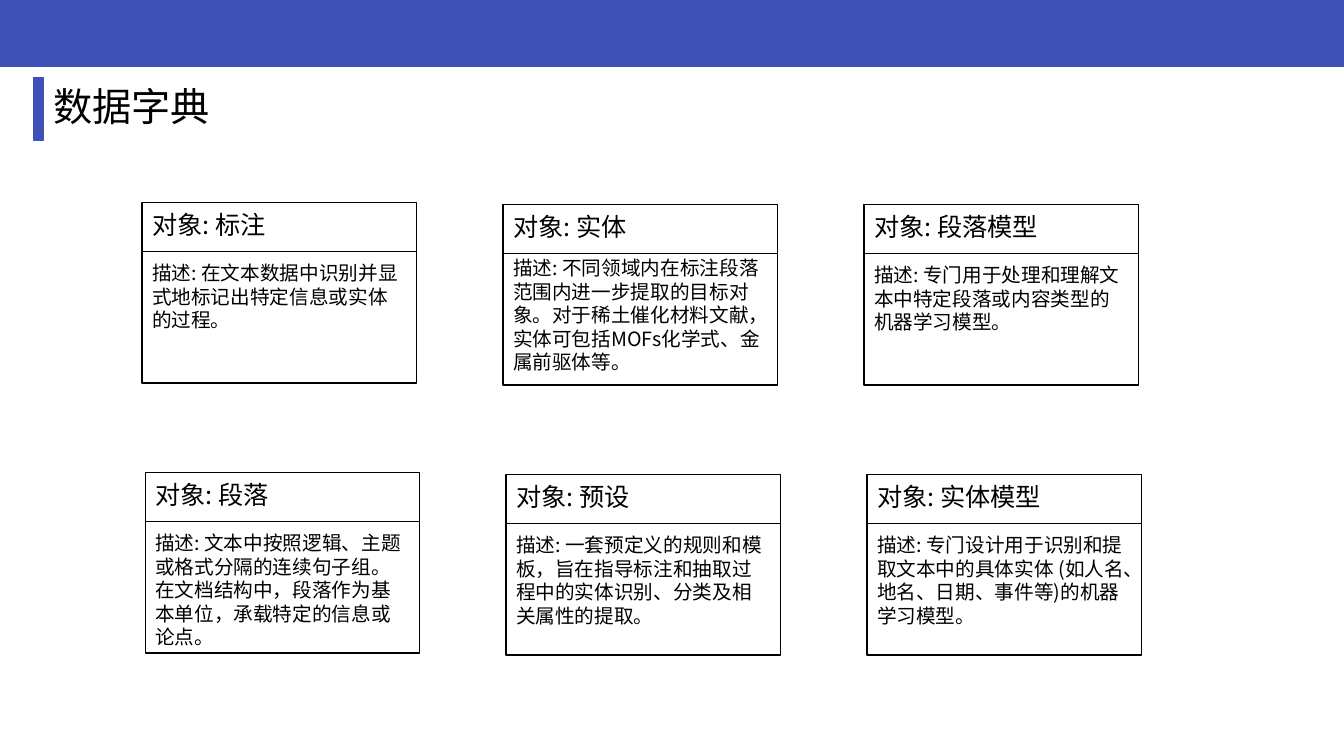
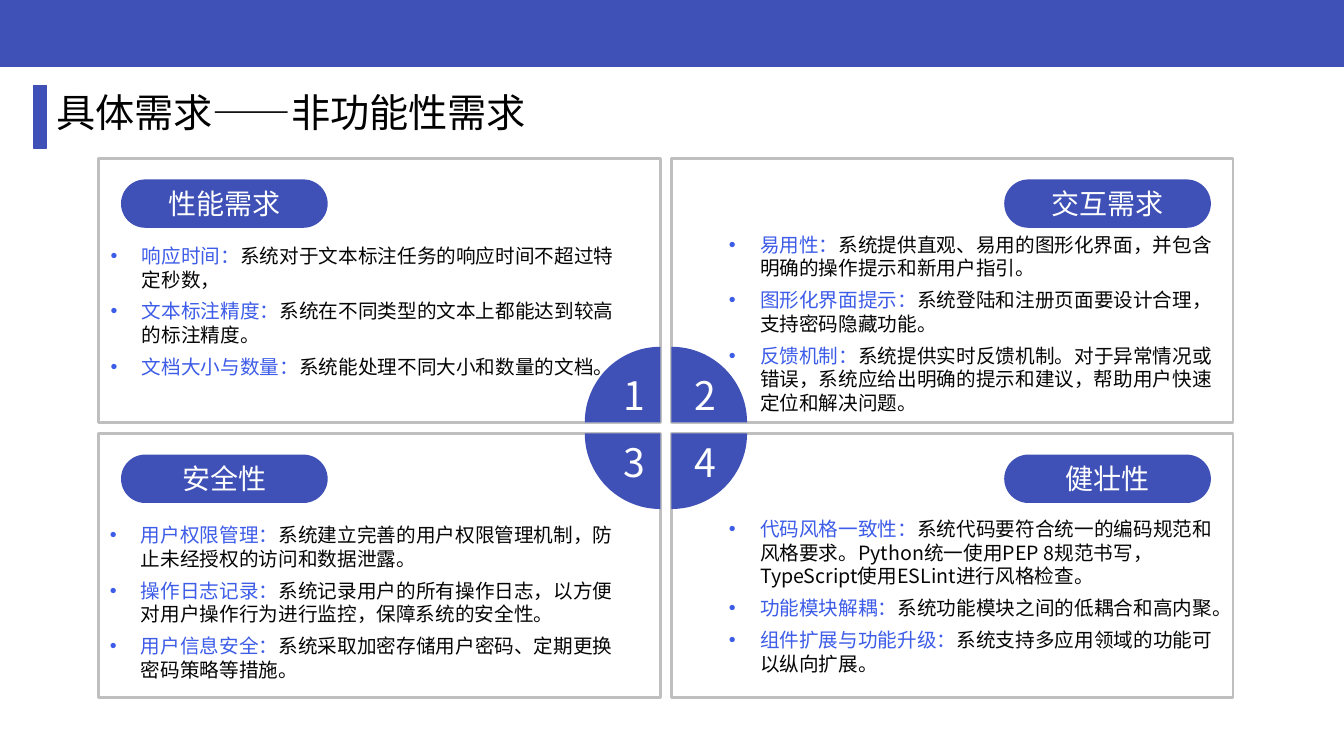
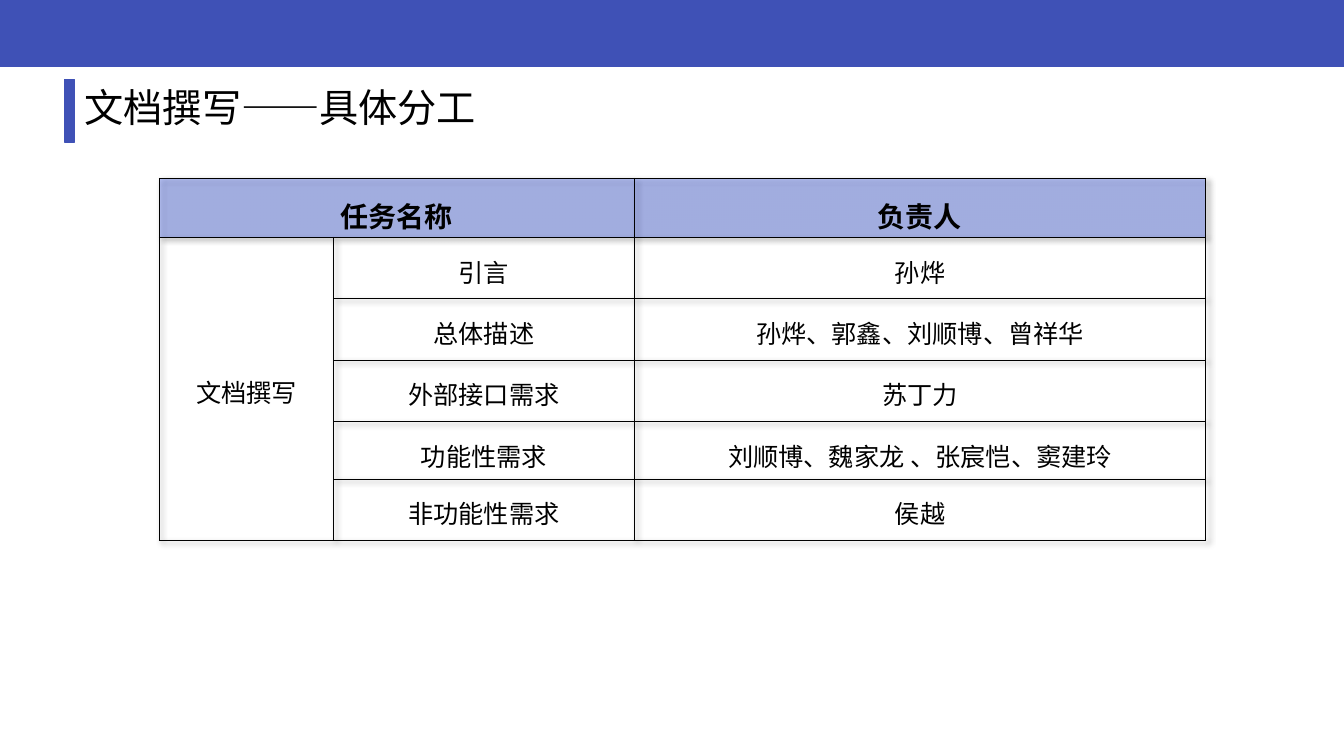
import math
from dataclasses import dataclass

import lxml.etree
import pptx
import pptx.dml.color
import pptx.enum.shapes
import pptx.enum.text
import pptx.oxml
import pptx.oxml.ns
import pptx.util

Inches = pptx.util.Inches
Pt = pptx.util.Pt
SHAPE = pptx.enum.shapes.MSO_SHAPE
ALIGN = pptx.enum.text.PP_ALIGN
ANCHOR = pptx.enum.text.MSO_ANCHOR
qn = pptx.oxml.ns.qn


@dataclass(frozen=True)
class Theme:
    font: str = "Noto Sans CJK JP"
    brand: str = "3F51B6"
    accent: str = "3D5CE8"
    body: str = "060607"
    black: str = "000000"
    white: str = "FFFFFF"
    frame: str = "BFBFBF"
    title_size: int = 28
    heading_size: int = 20
    label_size: int = 18
    body_size: int = 14


THEME = Theme()

DICTIONARY = [
    ("标注", "在文本数据中识别并显式地标记出特定信息或实体的过程。"),
    ("实体", "不同领域内在标注段落范围内进一步提取的目标对象。对于稀土催化材料文献，实体可包括MOFs化学式、金属前驱体等。"),
    ("段落模型", "专门用于处理和理解文本中特定段落或内容类型的机器学习模型。"),
    ("段落", "文本中按照逻辑、主题或格式分隔的连续句子组。在文档结构中，段落作为基本单位，承载特定的信息或论点。"),
    ("预设", "一套预定义的规则和模板，旨在指导标注和抽取过程中的实体识别、分类及相关属性的提取。"),
    ("实体模型", "专门设计用于识别和提取文本中的具体实体 (如人名、地名、日期、事件等)的机器学习模型。"),
]

REQUIREMENTS = [
    ("性能需求", (1, 2.37, 5.2, 1.62), [
        ("响应时间：", "系统对于文本标注任务的响应时间不超过特定秒数，"),
        ("文本标注精度：", "系统在不同类型的文本上都能达到较高的标注精度。"),
        ("文档大小与数量：", "系统能处理不同大小和数量的文档。"),
    ]),
    ("交互需求", (7.13, 2.26, 5.09, 1.92), [
        ("易用性：", "系统提供直观、易用的图形化界面，并包含明确的操作提示和新用户指引。"),
        ("图形化界面提示：", "系统登陆和注册页面要设计合理，支持密码隐藏功能。"),
        ("反馈机制：", "系统提供实时反馈机制。对于异常情况或错误，系统应给出明确的提示和建议，帮助用户快速定位和解决问题。"),
    ]),
    ("安全性", (0.99, 5.14, 5.22, 1.68), [
        ("用户权限管理：", "系统建立完善的用户权限管理机制，防止未经授权的访问和数据泄露。"),
        ("操作日志记录：", "系统记录用户的所有操作日志，以方便对用户操作行为进行监控，保障系统的安全性。"),
        ("用户信息安全：", "系统采取加密存储用户密码、定期更换密码策略等措施。"),
    ]),
    ("健壮性", (7.13, 5.08, 5.06, 1.68), [
        ("代码风格一致性：", "系统代码要符合统一的编码规范和风格要求。Python统一使用PEP 8规范书写，TypeScript使用ESLint进行风格检查。"),
        ("功能模块解耦：", "系统功能模块之间的低耦合和高内聚。"),
        ("组件扩展与功能升级：", "系统支持多应用领域的功能可以纵向扩展。"),
    ]),
]

TASK_HEADER = ("任务名称", "", "负责人")
TASK_GROUP = "文档撰写"
TASKS = [
    ("引言", "孙烨"),
    ("总体描述", "孙烨、郭鑫、刘顺博、曾祥华"),
    ("外部接口需求", "苏丁力"),
    ("功能性需求", "刘顺博、魏家龙 、张宸恺、窦建玲"),
    ("非功能性需求", "侯越"),
]
TASK_COLUMNS = (1.73, 2.98, 5.67)
TASK_ROWS = (0.5, 0.61, 0.61, 0.61, 0.57, 0.61)


def rgb(color):
    return pptx.dml.color.RGBColor.from_string(color)


def style_font(font, size, color=None, bold=False):
    font.size = Pt(size)
    font.bold = bold
    font.name = THEME.font
    if color:
        font.color.rgb = rgb(color)
    latin = font._element.find(qn("a:latin"))
    east_asian = pptx.oxml.parse_xml(
        f'<a:ea {pptx.oxml.ns.nsdecls("a")} typeface="{THEME.font}"/>')
    latin.addnext(east_asian)


def paint(shape, fill=None, line=None, width=1):
    shape.shadow.inherit = False
    if fill:
        shape.fill.solid()
        shape.fill.fore_color.rgb = rgb(fill)
    else:
        shape.fill.background()
    if line:
        shape.line.color.rgb = rgb(line)
        shape.line.width = Pt(width)
    else:
        shape.line.fill.background()


def add_box(slide, box, kind=SHAPE.RECTANGLE, **look):
    shape = slide.shapes.add_shape(kind, *map(Inches, box))
    paint(shape, **look)
    return shape


def set_text(frame, text, size, color, align=ALIGN.LEFT, bold=False):
    paragraph = frame.paragraphs[0]
    paragraph.text = text
    paragraph.alignment = align
    style_font(paragraph.font, size, color, bold)
    return paragraph


def add_text(slide, box, text, size, color=THEME.black, align=ALIGN.LEFT):
    frame = slide.shapes.add_textbox(*map(Inches, box)).text_frame
    frame.word_wrap = True
    set_text(frame, text, size, color, align)
    return frame


def add_rule(slide, left, top, width):
    rule = slide.shapes.add_connector(
        pptx.enum.shapes.MSO_CONNECTOR.STRAIGHT,
        Inches(left), Inches(top), Inches(left + width), Inches(top))
    rule.line.color.rgb = rgb(THEME.black)
    rule.line.width = Pt(0.5)
    lxml.etree.SubElement(rule._element.spPr, qn("a:effectLst"))


def start_slide(presentation, title, bar, title_box):
    slide = presentation.slides.add_slide(presentation.slide_layouts[6])
    for box in ((0, -0.01, 13.33, 0.67), bar):
        add_box(slide, box, fill=THEME.brand, line=THEME.brand)
    add_text(slide, title_box, title, THEME.title_size)
    return slide


def build_dictionary(presentation):
    slide = start_slide(presentation, "数据字典",
                        (0.33, 0.77, 0.1, 0.62), (0.43, 0.77, 3.49, 0.57))
    width, height = 2.72, 1.79
    for index, (name, description) in enumerate(DICTIONARY):
        row, column = divmod(index, 3)
        left = 1.41 + 3.58 * column + 0.03 * row
        top = (2.03 if column else 2.01) + 2.68 * row
        add_box(slide, (left, top, width, height), line=THEME.black)
        add_rule(slide, left, top + 0.48, width)
        add_text(slide, (left, top + 0.02, 2.28, 0.4), f"对象: {name}", THEME.label_size)
        offset = 0.46 if name == "实体" else 0.53
        frame = add_text(slide, (left, top + offset, width, 1.28),
                         f"描述: {description}", THEME.body_size)
        frame.margin_right = Inches(0.14)


def add_quarter(slide, center_x, center_y, side_x, side_y, radius=0.75, steps=24):
    angles = [math.pi / 2 * step / steps for step in range(steps + 1)]
    arc = [(Inches(center_x + side_x * radius * math.cos(angle)),
            Inches(center_y + side_y * radius * math.sin(angle))) for angle in angles]
    builder = slide.shapes.build_freeform(Inches(center_x), Inches(center_y), scale=1.0)
    builder.add_line_segments(arc, close=True)
    paint(builder.convert_to_shape(), fill=THEME.brand)


def add_bullets(slide, box, items):
    frame = slide.shapes.add_textbox(*map(Inches, box)).text_frame
    frame.word_wrap = True
    for index, item in enumerate(items):
        paragraph = frame.add_paragraph() if index else frame.paragraphs[0]
        paragraph.space_after = Pt(6)
        properties = paragraph._p.get_or_add_pPr()
        properties.set("marL", str(Inches(0.31)))
        properties.set("indent", str(-Inches(0.31)))
        bullet_font = lxml.etree.SubElement(properties, qn("a:buFont"))
        bullet_font.set("typeface", "Arial")
        lxml.etree.SubElement(properties, qn("a:buChar")).set("char", "•")
        style_font(paragraph.font, THEME.body_size)
        for text, color in zip(item, (THEME.accent, THEME.body)):
            run = paragraph.add_run()
            run.text = text
            run.font.color.rgb = rgb(color)


def build_requirements(presentation):
    slide = start_slide(presentation, "具体需求——非功能性需求",
                        (0.33, 0.85, 0.13, 0.62), (0.46, 0.83, 10.19, 0.57))
    width, height = 5.57, 2.62
    for index, (heading, text_box, items) in enumerate(REQUIREMENTS):
        row, column = divmod(index, 2)
        left, top = (0.98, 6.66)[column], (1.57, 4.3)[row]
        add_box(slide, (left, top, width, height), line=THEME.frame, width=2)
        add_quarter(slide, left if column else left + width,
                    top if row else top + height,
                    1 if column else -1, 1 if row else -1)
        add_text(slide, ((6.09, 6.79)[column], (3.63, 4.3)[row], 0.33, 0.57),
                 str(index + 1), THEME.title_size, THEME.white, ALIGN.CENTER)
        pill = add_box(slide, ((1.2, 9.96)[column], top + 0.21, 2.05, 0.48),
                       SHAPE.ROUNDED_RECTANGLE, fill=THEME.brand)
        pill.adjustments[0] = 0.5
        pill.text_frame.vertical_anchor = ANCHOR.MIDDLE
        set_text(pill.text_frame, heading, THEME.heading_size, THEME.white, ALIGN.CENTER)
        add_bullets(slide, text_box, items)


def style_cell(cell, text, header):
    properties = cell._tc.get_or_add_tcPr()
    for side in ("lnL", "lnR", "lnT", "lnB"):
        border = lxml.etree.SubElement(properties, qn(f"a:{side}"), w=str(Pt(0.75)))
        fill = lxml.etree.SubElement(border, qn("a:solidFill"))
        lxml.etree.SubElement(fill, qn("a:srgbClr"), val=THEME.black)
    if header:
        cell.fill.solid()
        cell.fill.fore_color.rgb = rgb(THEME.accent)
        color = properties.find(qn("a:solidFill")).find(qn("a:srgbClr"))
        lxml.etree.SubElement(color, qn("a:alpha"), val="36000")
    else:
        cell.fill.background()
    cell.margin_left = cell.margin_right = Inches(0.1)
    cell.margin_top = cell.margin_bottom = Inches(0.1)
    cell.vertical_anchor = ANCHOR.MIDDLE
    size = THEME.heading_size if header else THEME.label_size
    paragraph = set_text(cell.text_frame, text, size, THEME.black, ALIGN.CENTER, header)
    paragraph.line_spacing = 1.15


def add_table_shadow(table):
    effects = pptx.oxml.parse_xml(
        f'<a:effectLst {pptx.oxml.ns.nsdecls("a")}>'
        '<a:outerShdw blurRad="50800" dist="38100" dir="2700000" algn="tl">'
        f'<a:srgbClr val="{THEME.black}"><a:alpha val="40000"/></a:srgbClr>'
        '</a:outerShdw></a:effectLst>')
    table._tbl.tblPr.insert(0, effects)


def build_tasks(presentation):
    slide = start_slide(presentation, "文档撰写——具体分工",
                        (0.64, 0.79, 0.1, 0.62), (0.74, 0.78, 5.68, 0.57))
    rows = [TASK_HEADER] + [("" if index else TASK_GROUP, *task)
                            for index, task in enumerate(TASKS)]
    table = slide.shapes.add_table(
        len(rows), len(TASK_COLUMNS), Inches(1.58), Inches(1.77),
        Inches(sum(TASK_COLUMNS)), Inches(sum(TASK_ROWS))).table
    table.first_row = table.horz_banding = False
    add_table_shadow(table)
    for column, width in zip(table.columns, TASK_COLUMNS):
        column.width = Inches(width)
    for row, height in zip(table.rows, TASK_ROWS):
        row.height = Inches(height)
    for row_index, row in enumerate(rows):
        for column_index, text in enumerate(row):
            style_cell(table.cell(row_index, column_index), text, row_index == 0)
    table.cell(0, 0).merge(table.cell(0, 1))
    table.cell(1, 0).merge(table.cell(len(TASKS), 0))


def main():
    presentation = pptx.Presentation()
    presentation.slide_width = Inches(13.33)
    presentation.slide_height = Inches(7.5)
    build_dictionary(presentation)
    build_requirements(presentation)
    build_tasks(presentation)
    presentation.save("out.pptx")


if __name__ == "__main__":
    main()
